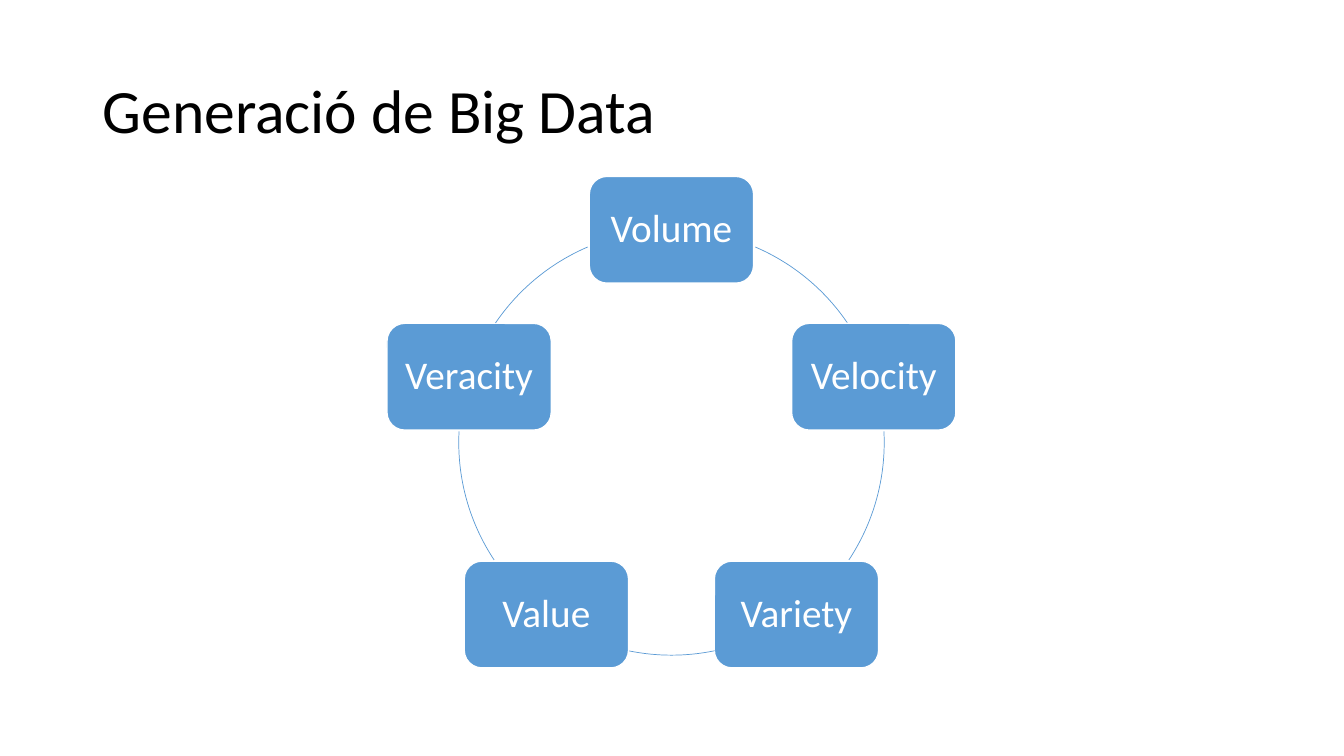
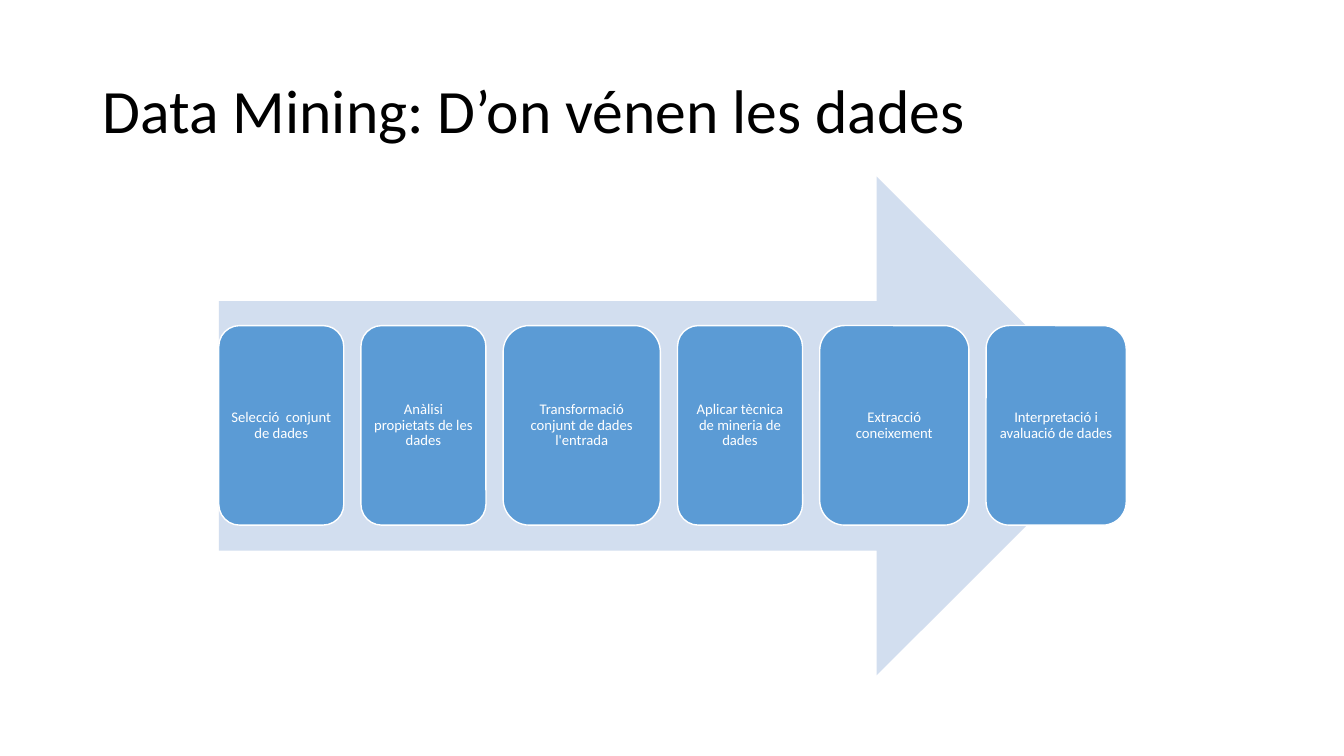
"""Build two slides on Big Data: a cycle of five Vs and a data mining process."""
import math

import pptx
import pptx.dml.color
import pptx.enum.shapes
import pptx.enum.text
import pptx.util

Inches, Pt = pptx.util.Inches, pptx.util.Pt
RGBColor = pptx.dml.color.RGBColor
SHAPE = pptx.enum.shapes.MSO_SHAPE
ANCHOR = pptx.enum.text.MSO_ANCHOR
ALIGN = pptx.enum.text.PP_ALIGN

BLACK = RGBColor(0x00, 0x00, 0x00)
WHITE = RGBColor(0xFF, 0xFF, 0xFF)
BLUE = RGBColor(0x5B, 0x9B, 0xD5)
PALE_BLUE = RGBColor(0xD2, 0xDE, 0xEF)
FONT = "Calibri"

CYCLE_TITLE = "Generació de Big Data"
CYCLE = ["Volume", "Velocity", "Variety", "Value", "Veracity"]
CYCLE_ARCS = [(293.2, 325.8), (357, 33.5), (78.3, 101.7), (146.5, 183), (214.2, 246.8)]
CENTER_X, CENTER_Y, RADIUS = 6.66, 4.39, 2.11
CYCLE_BOX = (1.63, 1.06)

PROCESS_TITLE = "Data Mining: D’on vénen les dades"
STEPS = [
    ("Selecció  conjunt de dades", 1.24),
    ("Anàlisi propietats de les dades", 1.24),
    ("Transformació conjunt de dades l'entrada", 1.56),
    ("Aplicar tècnica de mineria de dades", 1.24),
    ("Extracció coneixement", 1.48),
    ("Interpretació i avaluació de dades", 1.39),
]
ARROW = (2.17, 1.75, 9, 4.95)
STEP_TOP, STEP_HEIGHT, STEP_GAP = 3.23, 1.98, 0.17


def write(shape, text, size, color, align):
    frame = shape.text_frame
    frame.word_wrap = True
    frame.vertical_anchor = ANCHOR.MIDDLE
    frame.text = text
    paragraph = frame.paragraphs[0]
    paragraph.alignment = align
    paragraph.line_spacing = 0.9
    paragraph.font.name = FONT
    paragraph.font.size = Pt(size)
    paragraph.font.color.rgb = color


def add_titled_slide(deck, title):
    slide = deck.slides.add_slide(deck.slide_layouts[6])
    box = slide.shapes.add_textbox(*map(Inches, (0.92, 0.4, 11.5, 1.45)))
    write(box, title, 44, BLACK, ALIGN.LEFT)
    return slide


def add_shape(slide, preset, place, fill=None, line=None, width=1):
    shape = slide.shapes.add_shape(preset, *map(Inches, place))
    shape.shadow.inherit = False
    if fill is None:
        shape.fill.background()
    else:
        shape.fill.solid()
        shape.fill.fore_color.rgb = fill
    if line is None:
        shape.line.fill.background()
    else:
        shape.line.color.rgb = line
        shape.line.width = Pt(width)
    return shape


def add_box(slide, place, text, size, margin):
    box = add_shape(slide, SHAPE.ROUNDED_RECTANGLE, place, BLUE, WHITE)
    frame = box.text_frame
    frame.margin_left = frame.margin_right = Inches(margin)
    frame.margin_top = frame.margin_bottom = Inches(margin)
    write(box, text, size, WHITE, ALIGN.CENTER)


def build_cycle(deck):
    slide = add_titled_slide(deck, CYCLE_TITLE)
    width, height = CYCLE_BOX
    circle = (CENTER_X - RADIUS, CENTER_Y - RADIUS, 2 * RADIUS, 2 * RADIUS)
    for index, (word, angles) in enumerate(zip(CYCLE, CYCLE_ARCS)):
        turn = math.radians(360 / len(CYCLE) * index - 90)
        left = CENTER_X + RADIUS * math.cos(turn) - width / 2
        top = CENTER_Y + RADIUS * math.sin(turn) - height / 2
        add_box(slide, (left, top, width, height), word, 28, 0.1)
        arc = add_shape(slide, SHAPE.ARC, circle, line=BLUE, width=0.5)
        for end, degrees in enumerate(angles):
            arc.adjustments[end] = degrees * 0.6


def build_process(deck):
    slide = add_titled_slide(deck, PROCESS_TITLE)
    add_shape(slide, SHAPE.RIGHT_ARROW, ARROW, PALE_BLUE)
    left = ARROW[0]
    for step, width in STEPS:
        add_box(slide, (left, STEP_TOP, width, STEP_HEIGHT), step, 10.5, 0.05)
        left += width + STEP_GAP


def main():
    deck = pptx.Presentation()
    deck.slide_width, deck.slide_height = Inches(13.33), Inches(7.5)
    build_cycle(deck)
    build_process(deck)
    deck.save("out.pptx")


if __name__ == "__main__":
    main()
